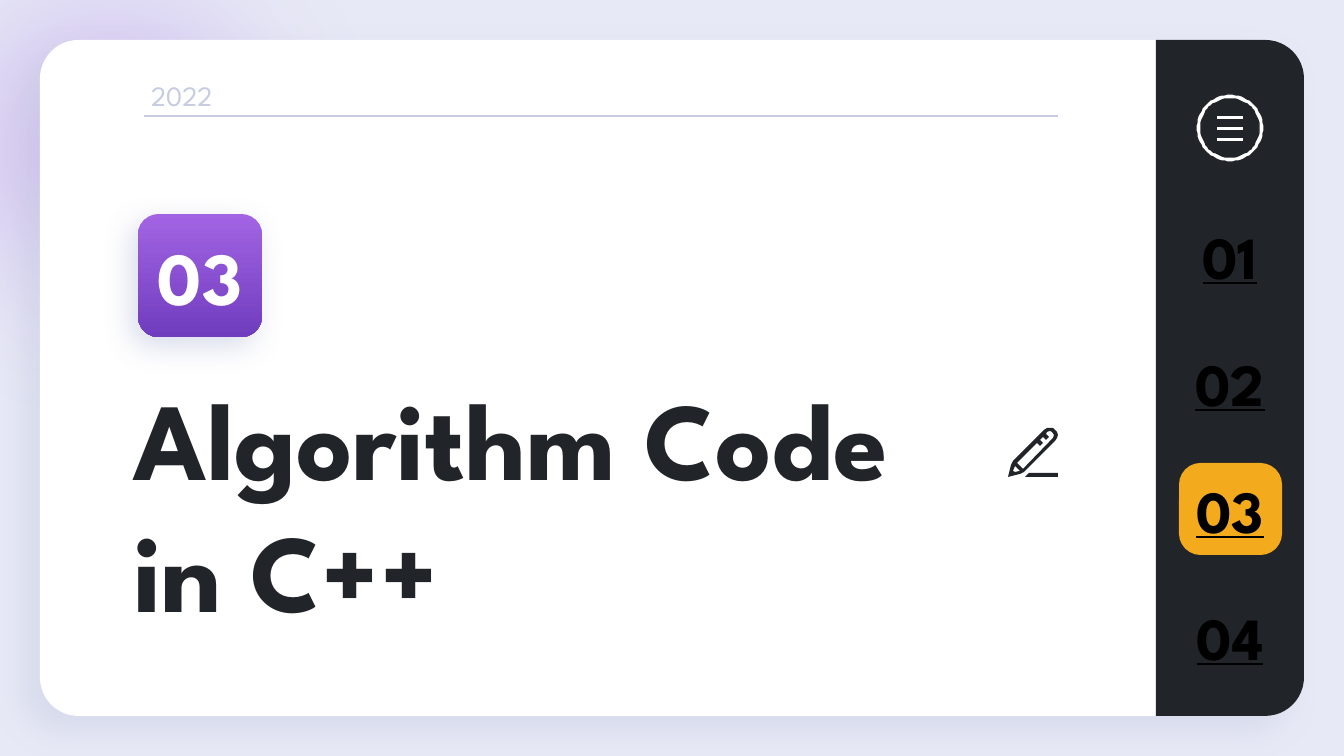
from math import cos, pi, sin

from lxml import etree
from pptx import Presentation
from pptx.dml.color import RGBColor
from pptx.enum.shapes import MSO_CONNECTOR, MSO_SHAPE
from pptx.enum.text import MSO_ANCHOR, MSO_AUTO_SIZE, PP_ALIGN
from pptx.oxml.ns import qn
from pptx.util import Pt

PX = 914400 / 134.4
FONT = "League Spartan"
INK, MIST, SLATE, WHITE, BLACK = "212428", "E7E9F6", "C7CCE2", "FFFFFF", "000000"
PURPLE, VIOLET, AMBER = "A264E3", "703DBF", "F4AA1D"
ELLIPSE = MSO_SHAPE.OVAL
ROUND = MSO_SHAPE.ROUNDED_RECTANGLE
ROUND_TOP = MSO_SHAPE.ROUND_2_SAME_RECTANGLE
STRAIGHT = MSO_CONNECTOR.STRAIGHT
TOP, MIDDLE = MSO_ANCHOR.TOP, MSO_ANCHOR.MIDDLE
FIXED, GROW = MSO_AUTO_SIZE.NONE, MSO_AUTO_SIZE.SHAPE_TO_FIT_TEXT
LEFT, CENTER = PP_ALIGN.LEFT, PP_ALIGN.CENTER


def px(value):
    return round(value * PX)


def color(value):
    return RGBColor.from_string(value)


def child(parent, tag, **values):
    return etree.SubElement(parent, qn(tag), {name: str(value) for name, value in values.items()})


def tinted(parent, value, opacity):
    tint = child(parent, "a:srgbClr", val=value)
    if opacity < 100:
        child(tint, "a:alpha", val=opacity * 1000)


def circle(x, y, radius, steps=72):
    angles = [2 * pi * step / steps for step in range(steps)]
    return [(x + radius * cos(angle), y + radius * sin(angle)) for angle in angles]


def bar(left, top, width, height):
    right, bottom = left + width, top + height
    return [(left, top), (right, top), (right, bottom), (left, bottom)]


class SlideKit:
    def __init__(self, page):
        self.page = page
        self.shapes = page.shapes
        page.background.fill.solid()
        page.background.fill.fore_color.rgb = color(MIST)

    def paint(self, shape, fill, line=None):
        shape.shadow.inherit = False
        shape.fill.solid()
        shape.fill.fore_color.rgb = color(fill)
        if line:
            shape.line.color.rgb = color(line)
            shape.line.width = Pt(0.75)
        else:
            shape.line.fill.background()

    def shape(self, kind, place, fill, adjust=(), rotation=0):
        shape = self.shapes.add_shape(kind, *map(px, place))
        for index, value in enumerate(adjust):
            shape.adjustments[index] = value
        shape.rotation = rotation
        self.paint(shape, fill)
        return shape

    def gradient(self, shape, stops, radial=False):
        shape.fill.gradient()
        fill = shape.element.spPr.find(qn("a:gradFill"))
        for part in list(fill):
            fill.remove(part)
        stop_list = child(fill, "a:gsLst")
        for position, value, opacity in stops:
            tinted(child(stop_list, "a:gs", pos=position * 1000), value, opacity)
        if radial:
            center = child(fill, "a:path", path="circle")
            child(center, "a:fillToRect", l=50000, t=50000, r=50000, b=50000)
        else:
            child(fill, "a:lin", ang=5400000, scaled=0)

    def shadow(self, shape, opacity, blur, distance, angle):
        effects = shape.element.spPr.find(qn("a:effectLst"))
        outer = child(effects, "a:outerShdw", blurRad=Pt(blur), dist=Pt(distance),
                      dir=angle * 60000, algn="ctr", rotWithShape=0)
        tinted(outer, SLATE, opacity)

    def icon(self, contours, fill, line=None):
        first, *others = contours
        builder = self.shapes.build_freeform(*first[0], scale=PX)
        builder.add_line_segments(first[1:], close=True)
        for contour in others:
            builder.move_to(*contour[0])
            builder.add_line_segments(contour[1:], close=True)
        self.paint(builder.convert_to_shape(), fill, line)

    def rule(self, start, end, value):
        rule = self.shapes.add_connector(STRAIGHT, *map(px, start + end))
        rule.line.color.rgb = color(value)
        rule.line.width = Pt(0.75)
        child(rule.element.spPr, "a:effectLst")

    def fill_text(self, box, text, fill, size, insets, align=LEFT, anchor=TOP, fit=GROW, **style):
        frame = box.text_frame
        left, top, right, bottom = map(px, insets)
        layout = {"word_wrap": True, "auto_size": fit, "vertical_anchor": anchor,
                  "margin_left": left, "margin_top": top,
                  "margin_right": right, "margin_bottom": bottom}
        for name, value in layout.items():
            setattr(frame, name, value)
        para = frame.paragraphs[0]
        para.text = text
        para.alignment = align
        for span in para.runs:
            for name, value in {"name": FONT, "size": Pt(size), **style}.items():
                setattr(span.font, name, value)
            span.font.color.rgb = color(fill)

    def text(self, place, *content, **style):
        self.fill_text(self.shapes.add_textbox(*map(px, place)), *content, **style)

    def title(self, place, *content, **style):
        title = self.shapes.title
        for name, value in zip(("left", "top", "width", "height"), place):
            setattr(title, name, px(value))
        self.shapes.element.append(title.element)
        self.fill_text(title, *content, **style)


def main():
    deck = Presentation()
    deck.slide_width, deck.slide_height = px(1344), px(756)
    kit = SlideKit(deck.slides.add_slide(deck.slide_layouts[5]))

    glow = kit.shape(ELLIPSE, (-202, -164, 626, 626), PURPLE)
    kit.gradient(glow, [(0, PURPLE, 49), (62, MIST, 0), (100, WHITE, 0)], radial=True)
    panel = kit.shape(ROUND, (40, 40, 1264, 676), WHITE, [0.057])
    kit.shadow(panel, 47, 16.9, 12, 137)
    kit.shape(ROUND_TOP, (892, 304, 676, 148), INK, [0.261, 0], rotation=90)
    badge = kit.shape(ROUND, (138, 214, 124, 123), PURPLE, [0.167])
    kit.gradient(badge, [(0, PURPLE, 100), (100, VIOLET, 100)])
    kit.shadow(badge, 63, 15.8, 6, 128)

    pencil_edge = [(1050, 428), (1047, 428), (1044, 430), (1013, 461), (1011, 465),
                   (1008, 477), (1020, 474), (1024, 472), (1055, 441), (1057, 438),
                   (1058, 435), (1057, 432), (1055, 430), (1053, 428)]
    pencil_body = [(1050, 431), (1052, 432), (1054, 435), (1053, 438), (1023, 469),
                   (1017, 463), (1037, 443), (1040, 446), (1043, 443), (1040, 440),
                   (1043, 437), (1046, 440), (1049, 437), (1046, 434), (1047, 432)]
    pencil_tip = [(1015, 466), (1020, 471), (1015, 472), (1013, 471)]
    pencil_stroke = [(1029, 473), (1025, 477), (1058, 477), (1058, 473)]
    kit.icon([pencil_edge, pencil_body, pencil_tip, pencil_stroke], INK)
    menu_bars = [bar(1216, 115 + 11 * row, 28, 5) for row in range(3)]
    kit.icon([circle(1230, 128, 34), circle(1230, 128, 29), *menu_bars], WHITE, INK)

    kit.text((151, 79, 675, 34), "2022", SLATE, 15, (0, 0, 13, 0))
    kit.rule((144, 116), (1058, 116), SLATE)
    kit.title((120, 370, 871, 133), "Algorithm Code\vin C++", INK, 59, (13, 0, 13, 13),
              fit=FIXED, bold=True)
    label = {"insets": (13, 0, 13, 0), "align": CENTER, "anchor": MIDDLE, "bold": True}
    kit.text((138, 239, 124, 73), "03", WHITE, 40, fit=FIXED, **label)

    kit.shape(ROUND, (1179, 463, 103, 92), AMBER, [0.234])
    for index in range(4):
        kit.text((1176, 219 + 127 * index, 108, 73), f"{index + 1:02}", BLACK, 32,
                 underline=True, **label)
    deck.save("out.pptx")


if __name__ == "__main__":
    main()
